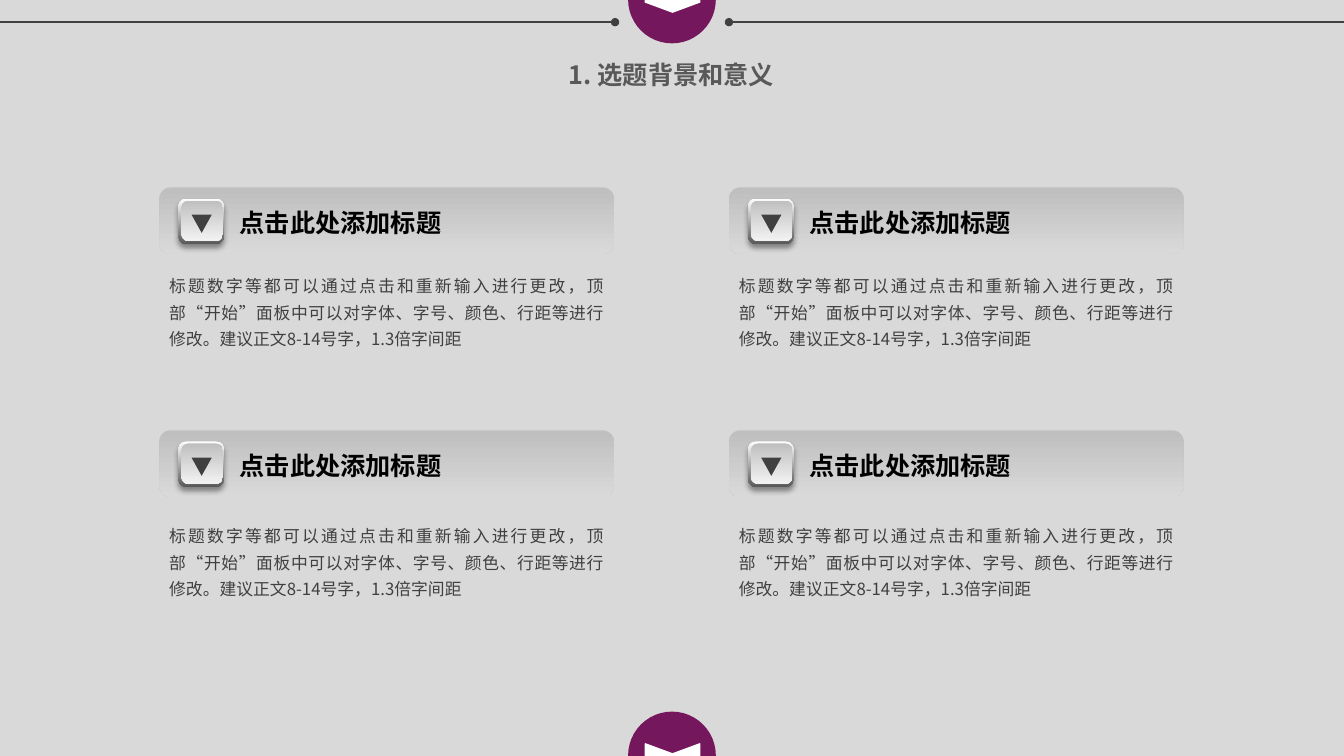
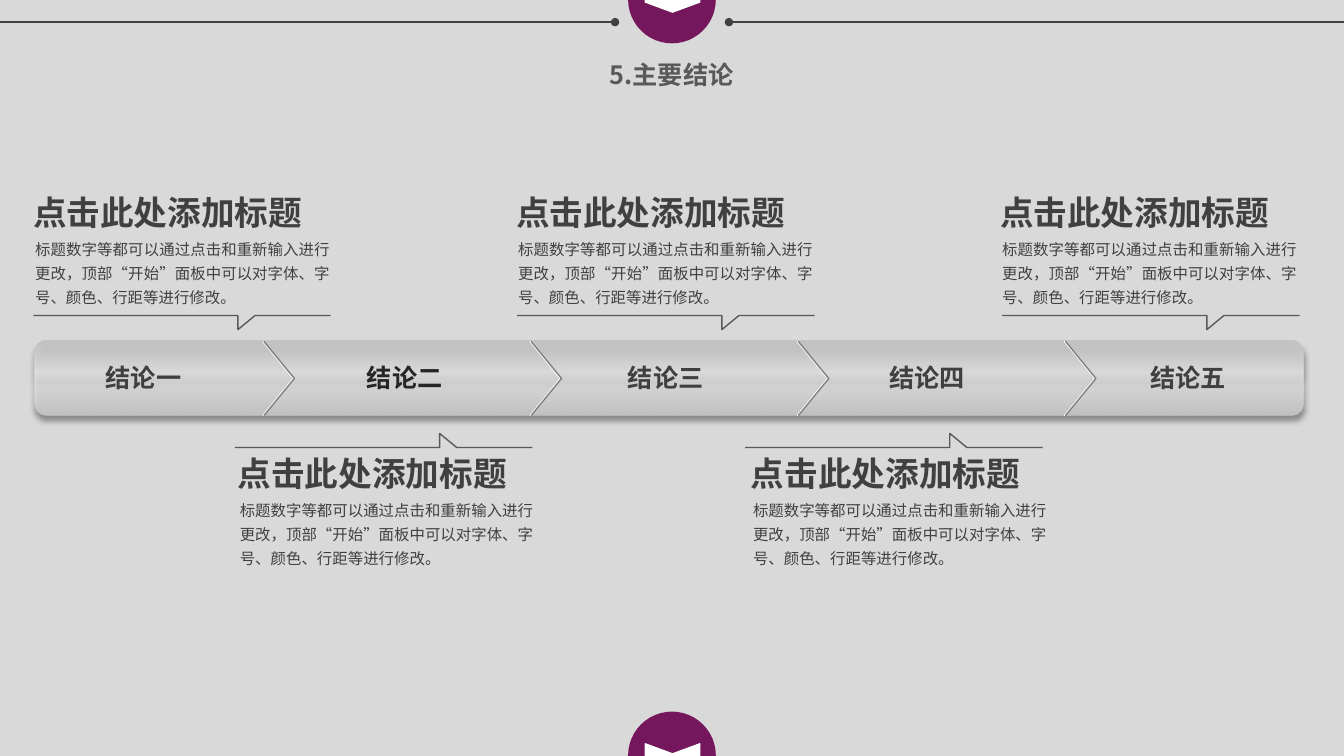
from itertools import product

from lxml import etree
from pptx import Presentation
from pptx.dml.color import RGBColor
from pptx.enum.shapes import MSO_CONNECTOR, MSO_SHAPE
from pptx.enum.text import MSO_ANCHOR, MSO_AUTO_SIZE, PP_ALIGN
from pptx.oxml.ns import qn
from pptx.util import Pt

# Scale and constants
PX = 9144  # 100 px to the inch
WIDTH, HEIGHT = 1333, 750
TITLE_ONLY = 5

ROUNDED = MSO_SHAPE.ROUNDED_RECTANGLE
OVAL = MSO_SHAPE.OVAL
CHEVRON = MSO_SHAPE.CHEVRON
TRIANGLE = MSO_SHAPE.ISOSCELES_TRIANGLE
STRAIGHT = MSO_CONNECTOR.STRAIGHT
LEFT, CENTER, JUSTIFY = PP_ALIGN.LEFT, PP_ALIGN.CENTER, PP_ALIGN.JUSTIFY
FIT_SHAPE, NO_FIT = MSO_AUTO_SIZE.SHAPE_TO_FIT_TEXT, MSO_AUTO_SIZE.NONE
TOP = MSO_ANCHOR.TOP

FONT = "Noto Sans CJK SC"
BACKGROUND, ACCENT, WHITE, BLACK = "D9D9D9", "75175C", "FFFFFF", "000000"
DARK, DARKER, MID, EDGE = "404040", "262626", "595959", "808080"

# Gradients: position, colour, opacity (all in percent but the colour)
CARD_FADE = [(3, "BFBFBF", 100), (100, "D9D9D9", 100)]
BUTTON_RIM = [(0, "FFFFFF", 100), (100, "595959", 100)]
BUTTON_FACE = [(0, "BFBFBF", 100), (100, "F2F2F2", 100)]
BAR_GLOSS = [(0, "BFBFBF", 86), (42, "E5E5E5", 87),
             (57, "F2F2F2", 60), (100, "BFBFBF", 100)]

HEADING = "点击此处添加标题"
NOTE = ("标题数字等都可以通过点击和重新输入进行更改，顶部“开始”面板中"
        "可以对字体、字号、颜色、行距等进行修改。")
CARD_NOTE = NOTE + "建议正文8-14号字，1.3倍字间距"


def px(*lengths):
    return [length * PX for length in lengths]


def rgb(code):
    return RGBColor.from_string(code)


def add_xml(parent, tag, **attributes):
    return etree.SubElement(parent, qn(tag), attributes)


class Deck:
    """Holds the presentation, its style and the current page."""

    def __init__(self):
        self.deck = Presentation()
        self.deck.slide_width, self.deck.slide_height = px(WIDTH, HEIGHT)
        self.page = None

    def new_page(self, title):
        layout = self.deck.slide_layouts[TITLE_ONLY]
        self.page = self.deck.slides.add_slide(layout)
        fill = self.page.background.fill
        fill.solid()
        fill.fore_color.rgb = rgb(BACKGROUND)
        # Rules and badges at the edges
        self.rule(0, 610)
        self.rule(WIDTH, 723)
        for top in (706, -44):
            self.shape(OVAL, 623, top, 87, 87, ACCENT)
            mark = self.shape(CHEVRON, 655, top + 17, 24, 54, WHITE, WHITE)
            mark.adjustments[0] = 0.415
            mark.rotation = 90
        # Title
        box = self.page.shapes.title
        box.left, box.top, box.width, box.height = px(550, 54, 232, 40)
        box.text_frame.vertical_anchor = TOP
        box.text_frame.auto_size = NO_FIT
        self.style_text(box, title, 18, MID, True, CENTER)

    def style_text(self, box, words, size, colour, bold, align, spacing=None):
        box.text_frame.text = words
        for para in box.text_frame.paragraphs:
            para.alignment = align
            if spacing:
                para.line_spacing = spacing
            for span in para.runs:
                font = span.font
                font.size, font.bold, font.name = Pt(size), bold, FONT
                font.color.rgb = rgb(colour)
                properties = span.font._element
                properties.set("lang", "zh-CN")
                add_xml(properties, "a:ea", typeface=FONT)

    def text(self, left, top, width, height, words, size, colour=DARK,
             bold=False, align=LEFT, spacing=None, wrap=True):
        box = self.page.shapes.add_textbox(*px(left, top, width, height))
        box.text_frame.word_wrap = wrap
        box.text_frame.auto_size = FIT_SHAPE
        self.style_text(box, words, size, colour, bold, align, spacing)

    def outline(self, shape, colour):
        if colour:
            shape.line.color.rgb = rgb(colour)
            shape.line.width = Pt(1)
        else:
            shape.line.fill.background()

    def shape(self, kind, left, top, width, height, fill=None, line=None):
        shape = self.page.shapes.add_shape(kind, *px(left, top, width, height))
        shape.shadow.inherit = False
        if isinstance(fill, list):
            self.gradient(shape, fill)
        elif fill:
            shape.fill.solid()
            shape.fill.fore_color.rgb = rgb(fill)
        else:
            shape.fill.background()
        self.outline(shape, line)
        return shape

    def gradient(self, shape, stops):
        shape.fill.gradient()
        shape.fill.gradient_angle = 270
        stop_list = shape.element.find(".//" + qn("a:gsLst"))
        for old in list(stop_list):
            stop_list.remove(old)
        for position, code, opacity in stops:
            stop = add_xml(stop_list, "a:gs", pos=str(position * 1000))
            colour = add_xml(stop, "a:srgbClr", val=code)
            if opacity < 100:
                add_xml(colour, "a:alpha", val=str(opacity * 1000))

    def drop_shadow(self, shape):
        effects = shape.element.spPr.find(qn("a:effectLst"))
        shadow = add_xml(effects, "a:outerShdw", blurRad=str(Pt(4)),
                         dist=str(Pt(3)), dir="5400000", algn="t",
                         rotWithShape="0")
        colour = add_xml(shadow, "a:srgbClr", val=BLACK)
        add_xml(colour, "a:alpha", val="40000")

    def rule(self, start, end):
        line = self.page.shapes.add_connector(STRAIGHT, *px(start, 22, end, 22))
        line.line.color.rgb = rgb(DARK)
        line.line.width = Pt(1.25)
        add_xml(line.element.find(".//" + qn("a:ln")), "a:tailEnd", type="oval")
        add_xml(line.element.spPr, "a:effectLst")

    def flag_line(self, left, base, tip):
        corners = [(203, base), (203, tip), (220, base), (295, base)]
        builder = self.page.shapes.build_freeform(*px(left, base), scale=1.0)
        builder.add_line_segments([px(left + x, y) for x, y in corners],
                                  close=False)
        line = builder.convert_to_shape()
        line.shadow.inherit = False
        line.fill.background()
        self.outline(line, MID)

    def card(self, left, top, note_top):
        self.shape(ROUNDED, left, top, 451, 66, CARD_FADE)
        self.text(left + 70, top + 15, 267, 40, HEADING, 18, BLACK, True)
        rim = self.shape(ROUNDED, left + 19, top + 11, 45, 45, BUTTON_RIM)
        self.drop_shadow(rim)
        self.shape(ROUNDED, left + 22, top + 13, 41, 40, BUTTON_FACE)
        arrow = self.shape(TRIANGLE, left + 32, top + 27, 20, 18, DARK)
        arrow.rotation = 180
        self.text(left, note_top, 451, 89, CARD_NOTE, 12,
                  align=JUSTIFY, spacing=1.3)

    def divider(self, left):
        for shift, colour in enumerate((WHITE, EDGE)):
            edge = self.shape(CHEVRON, left + shift, 339, 30, 73, line=colour)
            edge.adjustments[0] = 1

    def conclusion(self, flag_left, text_left, top, base, tip, align):
        self.flag_line(flag_left, base, tip)
        self.text(text_left, top, 289, 50, HEADING, 24, bold=True, wrap=False)
        self.text(text_left + 2, top + 43, 312, 82, NOTE, 11,
                  align=align, spacing=1.3)


def main():
    deck = Deck()

    # Background: four cards in a grid
    deck.new_page("1. 选题背景和意义")
    for (top, note_top), left in product([(186, 263), (427, 511)], [158, 723]):
        deck.card(left, top, note_top)

    # Conclusions: a bar of five steps
    deck.new_page("5.主要结论")
    bar = deck.shape(ROUNDED, 34, 338, 1259, 74, BAR_GLOSS)
    deck.drop_shadow(bar)
    for index in range(4):
        deck.divider(261 + 265 * index)
    for index, number in enumerate("一二三四五"):
        colour = DARKER if index == 1 else DARK
        deck.text(95 + 259 * index, 355, 96, 40, "结论" + number, 18,
                  colour, True, wrap=False)

    # Notes above and below the bar
    for flag_left, text_left in [(33, 23), (513, 502), (994, 982)]:
        deck.conclusion(flag_left, text_left, 185, 313, 327, JUSTIFY)
    for flag_left, text_left in [(233, 226), (739, 735)]:
        deck.conclusion(flag_left, text_left, 444, 444, 430, LEFT)

    deck.deck.save("out.pptx")


if __name__ == "__main__":
    main()
